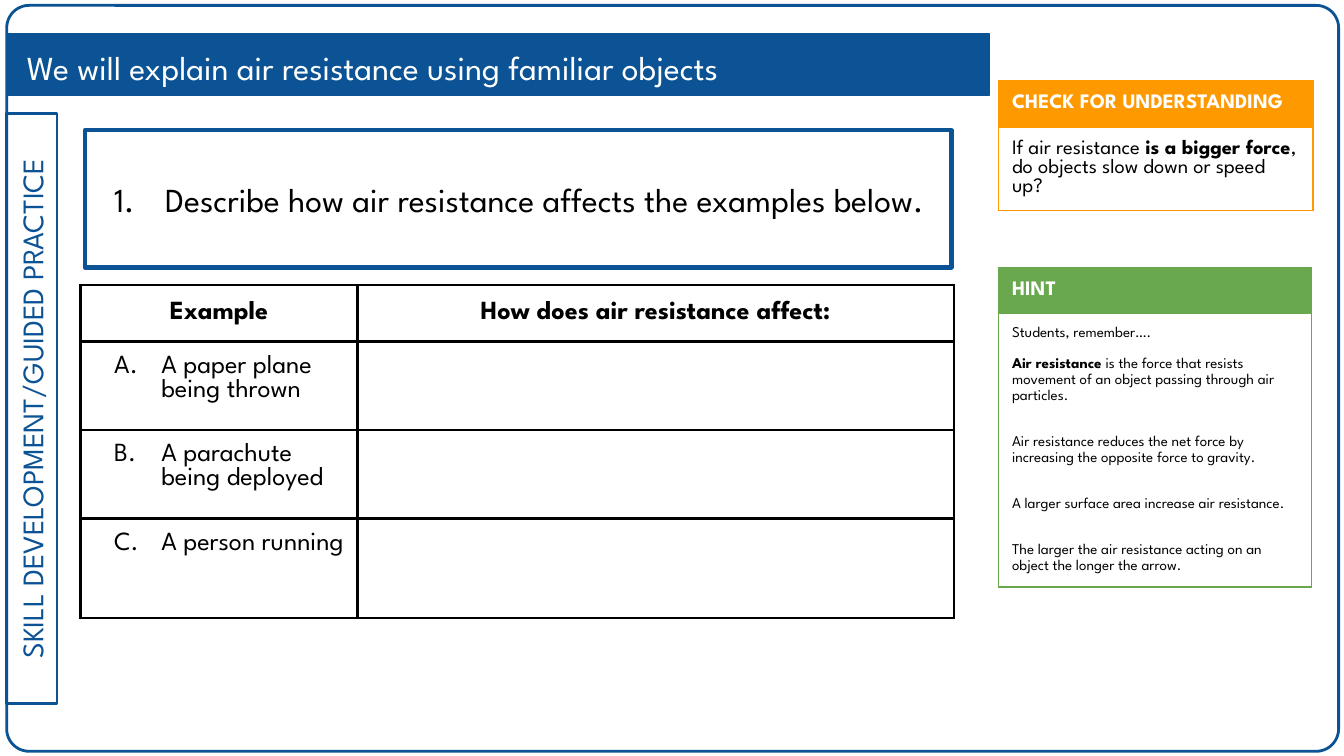
from lxml import etree
from pptx import Presentation
from pptx.dml.color import RGBColor
from pptx.enum.shapes import MSO_SHAPE
from pptx.enum.text import MSO_ANCHOR, MSO_AUTO_SIZE, PP_ALIGN
from pptx.oxml.ns import qn
from pptx.util import Pt

PX = 4572  # 200 px to the inch
PAD = 20
FONT = "League Spartan"
BLUE, ORANGE, GREEN = "0B5394", "FF9900", "6AA84F"
BLACK, WHITE = "000000", "FFFFFF"
RECT, ROUND = MSO_SHAPE.RECTANGLE, MSO_SHAPE.ROUNDED_RECTANGLE
LEFT, CENTER = PP_ALIGN.LEFT, PP_ALIGN.CENTER
TOP, MIDDLE = MSO_ANCHOR.TOP, MSO_ANCHOR.MIDDLE
NO_FIT = MSO_AUTO_SIZE.NONE


def px(*nums):
    return [n * PX for n in nums]


def rgb(code):
    return RGBColor.from_string(code)


def sub(node, tag, **attrs):
    return etree.SubElement(node, qn(tag), **attrs)


def pad(item):
    """Give a text frame or a table cell even margins."""
    item.margin_left = item.margin_right = PAD * PX
    item.margin_top = item.margin_bottom = PAD * PX


def write(para, runs, size, color, align=LEFT):
    """Add (text, bold) runs to a paragraph."""
    para.alignment = align
    for text, bold in runs:
        run = para.add_run()
        run.text = text
        font = run.font
        font.name, font.size, font.bold = FONT, Pt(size), bold
        font.color.rgb = rgb(color)


def number(para, kind, start, hang):
    """Make a paragraph a numbered item with a hanging indent."""
    props = para._p.get_or_add_pPr()
    props.set("marL", str(100 * PX))
    props.set("indent", str(-hang * PX))
    tint = sub(props, "a:buClr")
    sub(tint, "a:srgbClr", val=BLACK)
    sub(props, "a:buSzPct", val="100000")
    sub(props, "a:buFont", typeface=FONT)
    sub(props, "a:buAutoNum", type=kind, startAt=str(start))


def add_box(slide, kind, box, width, fill=None):
    shape = slide.shapes.add_shape(kind, *px(*box))
    shape.shadow.inherit = False
    shape.line.color.rgb = rgb(BLUE)
    shape.line.width = Pt(width)
    if fill:
        shape.fill.solid()
        shape.fill.fore_color.rgb = rgb(fill)
    else:
        shape.fill.background()
    frame = shape.text_frame
    frame.word_wrap = True
    frame.vertical_anchor = MIDDLE
    pad(frame)
    return shape


def style_cell(cell, color, width, fill=None, anchor=TOP):
    props = cell._tc.get_or_add_tcPr()
    for side in "LRTB":
        line = sub(props, "a:ln" + side, w=str(Pt(width)))
        sub(sub(line, "a:solidFill"), "a:srgbClr", val=color)
    if fill:
        cell.fill.solid()
        cell.fill.fore_color.rgb = rgb(fill)
    else:
        cell.fill.background()
    cell.vertical_anchor = anchor
    pad(cell)


def add_grid(slide, x, y, cols, rows):
    """Add a plain table with the given column widths and row heights."""
    frame = slide.shapes.add_table(
        len(rows), len(cols), *px(x, y, sum(cols), sum(rows)))
    table = frame.table
    table.first_row = table.horz_banding = False
    for col, wide in zip(table.columns, cols):
        col.width = wide * PX
    for row, high in zip(table.rows, rows):
        row.height = high * PX
    return table


def add_side(slide, x, y, wide, high, text):
    """Add a tall label that reads upwards."""
    shift = (high - wide) // 2
    label = add_box(slide, RECT, (x - shift, y + shift, high, wide), 1.5)
    label.rotation = 270
    write(label.text_frame.paragraphs[0], [(text, False)], 16, BLUE, CENTER)


def add_head(slide, x, y, wide, high, text):
    add_box(slide, RECT, (x, y, wide, high), 0.75, BLUE)
    title = slide.shapes.title
    slide.shapes._spTree.append(title._element)
    title.left, title.top, title.width, title.height = px(
        x + 10, y + 8, wide - 20, high - 16)
    frame = title.text_frame
    frame.auto_size = NO_FIT
    frame.word_wrap = True
    frame.vertical_anchor = MIDDLE
    pad(frame)
    para = frame.paragraphs[0]
    para.line_spacing = 1.15
    write(para, [(text, False)], 18, WHITE)


def add_task(slide, box, text):
    para = add_box(slide, RECT, box, 2.25).text_frame.paragraphs[0]
    number(para, "arabicPeriod", 1, 76)
    write(para, [(text, False)], 18, BLACK)


def add_work(slide, x, y, heads, items):
    """Add the table of examples with blank answer cells."""
    rows = [84, 132, 132, 148]
    table = add_grid(slide, x, y, [412, 452, 436], rows)
    for r in range(len(rows)):
        for c in range(3):
            style_cell(table.cell(r, c), BLACK, 1.5, anchor=TOP if r else MIDDLE)
        table.cell(r, 1).merge(table.cell(r, 2))
    for c, head in enumerate(heads):
        para = table.cell(0, c).text_frame.paragraphs[0]
        write(para, [(head, True)], 14, BLACK, CENTER)
    for r, item in enumerate(items, 1):
        para = table.cell(r, 0).text_frame.paragraphs[0]
        number(para, "alphaUcPeriod", r, 70)
        write(para, [(item, False)], 14, BLACK)


def add_note(slide, x, y, wide, high, color, head, size, paras):
    """Add a side card; paras holds (runs, space before, line spacing)."""
    top = 69
    table = add_grid(slide, x, y, [wide], [top, high - top])
    title, body = table.cell(0, 0), table.cell(1, 0)
    style_cell(title, color, 0.75, color)
    style_cell(body, color, 0.75)
    write(title.text_frame.paragraphs[0], [(head, True)], 11, WHITE)
    frame = body.text_frame
    for i, (runs, gap, lead) in enumerate(paras):
        para = frame.add_paragraph() if i else frame.paragraphs[0]
        para.line_spacing = lead
        if i:
            para.space_before = Pt(gap)
        write(para, runs, size, BLACK)


def main():
    deck = Presentation()
    deck.slide_width, deck.slide_height = px(2000, 1125)
    slide = deck.slides.add_slide(deck.slide_layouts[5])

    edge = add_box(slide, ROUND, (10, 8, 1982, 1110), 1.5)
    edge.adjustments[0] = 0.03
    add_side(slide, 9, 169, 76, 878, "SKILL DEVELOPMENT/GUIDED PRACTICE")
    add_head(slide, 10, 50, 1462, 92,
             "We will explain air resistance using familiar objects")
    add_note(slide, 1486, 120, 468, 192, ORANGE, "CHECK FOR UNDERSTANDING", 11, [
        ([("If air resistance ", False), ("is a bigger force", True),
          (", do objects slow down or speed up?", False)], 0, 1.0),
    ])
    add_task(slide, (126, 194, 1290, 204),
             "Describe how air resistance affects the examples below.")
    add_work(slide, 120, 424, ["Example", "How does air resistance affect:"], [
        "A paper plane being thrown",
        "A parachute being deployed",
        "A person running",
    ])
    facts = [
        "Air resistance reduces the net force by increasing the opposite "
        "force to gravity.",
        "A larger surface area increase air resistance.",
        "The larger the air resistance acting on an object the longer the arrow.",
    ]
    add_note(slide, 1486, 398, 466, 473, GREEN, "HINT", 8, [
        ([("Students, remember….", False)], 0, 1.0),
        ([("Air resistance", True),
          (" is the force that resists movement of an object passing through "
           "air particles.", False)], 8, 1.15),
        *[([(fact, False)], 16, 1.15) for fact in facts],
    ])
    deck.save("out.pptx")


if __name__ == "__main__":
    main()
